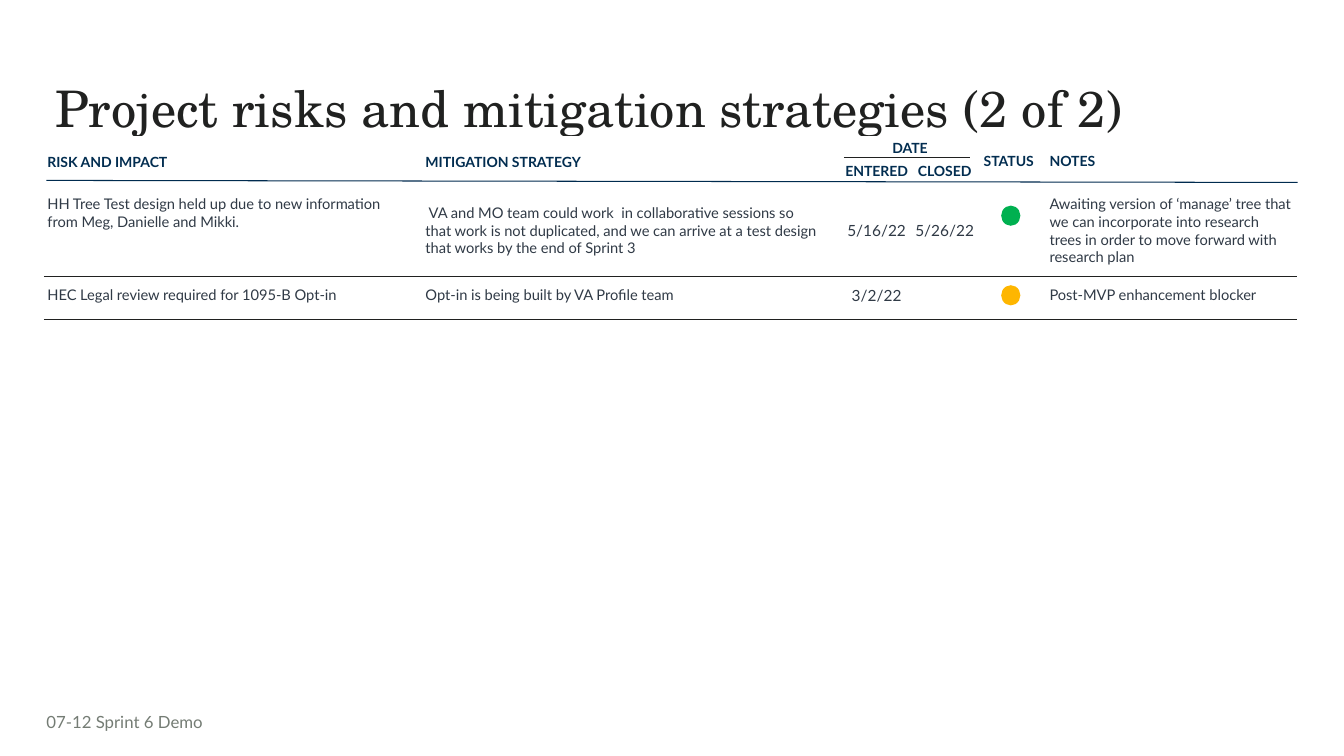
"""Build the project risks and mitigation strategies slide."""
from lxml.etree import SubElement
from pptx import Presentation
from pptx.dml.color import RGBColor
from pptx.enum.shapes import MSO_CONNECTOR, MSO_SHAPE
from pptx.enum.text import MSO_ANCHOR, PP_ALIGN
from pptx.oxml import parse_xml
from pptx.oxml.ns import nsdecls, qn
from pptx.util import Pt

PX = 9144
COLORS = {
    "ink": "202120", "header": "022D50", "body": "303A46", "rule": "002B4F",
    "footer": "747C74", "amber": "FEB600", "green": "00B050",
}


def write(paragraph, text, size, color, font="Lato", bold=False, spacing=1.0):
    paragraph.line_spacing = spacing
    run = paragraph.add_run()
    run.text = text
    for name, value in {"name": font, "size": Pt(size), "bold": bold}.items():
        setattr(run.font, name, value)
    run.font.color.rgb = RGBColor.from_string(COLORS[color])


def set_margins(target, left, top, right, bottom):
    margins = {"left": left, "top": top, "right": right, "bottom": bottom}
    for side, value in margins.items():
        setattr(target, f"margin_{side}", value * PX)


presentation = Presentation()
presentation.slide_width = 1333 * PX
presentation.slide_height = 750 * PX
slide = presentation.slides.add_slide(presentation.slide_layouts[6])

text_boxes = [
    ((45, 78, 1242, 82), (10, 5, 10, 5), "Project risks and mitigation strategies (2 of 2)",
     {"size": 36, "color": "ink", "font": "TeX Gyre Schola", "spacing": 0.9}),
    ((46, 701, 298, 30), (0, 5, 10, 5), "07-12 Sprint 6 Demo",
     {"size": 12, "color": "footer"}),
]
for box, margins, text, style in text_boxes:
    shape = slide.shapes.add_textbox(*[value * PX for value in box])
    shape.text_frame.word_wrap = True
    set_margins(shape.text_frame, *margins)
    write(shape.text_frame.paragraphs[0], text, **style)

column_widths = [375, 416, 69, 66, 61, 255]
row_heights = [22, 22, 43, 43]
rows = [
    ["RISK AND IMPACT", "MITIGATION STRATEGY", "DATE", "", "STATUS", "NOTES"],
    ["", "", "ENTERED", "CLOSED", "", ""],
    ["HH Tree Test design held up due to new information from Meg, Danielle and Mikki.",
     " VA and MO team could work  in collaborative sessions so that work is not duplicated, "
     "and we can arrive at a test design that works by the end of Sprint 3",
     "5/16/22", "5/26/22", "",
     "Awaiting version of ‘manage’ tree that we can incorporate into research trees "
     "in order to move forward with research plan"],
    ["HEC Legal review required for 1095-B Opt-in", "Opt-in is being built by VA Profile team",
     "3/2/22", "", "", "Post-MVP enhancement blocker"],
]
frame = slide.shapes.add_table(
    len(rows), len(column_widths), 44 * PX, 136 * PX,
    sum(column_widths) * PX, sum(row_heights) * PX)
table = frame.table
table.first_row = False
table.horz_banding = False
for column, width in zip(table.columns, column_widths):
    column.width = width * PX
for row, height in zip(table.rows, row_heights):
    row.height = height * PX

middle_cells = {(0, 0), (0, 1), (0, 4), (0, 5), (2, 1), (2, 2), (2, 3), (2, 5)}
for row_index, row in enumerate(rows):
    is_header = row_index < 2
    for column_index, text in enumerate(row):
        cell = table.cell(row_index, column_index)
        is_centered = column_index in (2, 3, 4)
        is_wide = column_index < 2
        edge = 3 if is_header else 10
        set_margins(cell, 10 if column_index == 5 else 3, edge,
                    20 if is_wide and not is_header else 3, edge)
        is_middle = (row_index, column_index) in middle_cells
        cell.vertical_anchor = MSO_ANCHOR.MIDDLE if is_middle else MSO_ANCHOR.TOP
        cell.fill.background()
        paragraph = cell.text_frame.paragraphs[0]
        paragraph.alignment = PP_ALIGN.CENTER if is_centered else PP_ALIGN.LEFT
        if not text:
            SubElement(paragraph._p, qn("a:endParaRPr"), sz="1000")
        elif is_header:
            write(paragraph, text, 10, "header", bold=True, spacing=1.15 if is_wide else 1.0)
        else:
            write(paragraph, text, 11 if is_centered else 10.5, "body")
        sides = {2: ["lnB"], 3: ["lnT", "lnB"]}.get(row_index, [])
        for position, side in enumerate(sides):
            border = parse_xml(
                f'<a:{side} {nsdecls("a")} w="9525"><a:solidFill>'
                f'<a:srgbClr val="{COLORS["ink"]}"/></a:solidFill></a:{side}>')
            cell._tc.get_or_add_tcPr().insert(position, border)

for column_index in (0, 1, 4, 5):
    table.cell(0, column_index).merge(table.cell(1, column_index))
table.cell(0, 2).merge(table.cell(0, 3))

rules = [((46, 179, 1287, 181), "rule", 0.75), ((837, 156, 962, 156), "ink", 1)]
for ends, color, width in rules:
    connector = slide.shapes.add_connector(
        MSO_CONNECTOR.STRAIGHT, *[value * PX for value in ends])
    connector.line.color.rgb = RGBColor.from_string(COLORS[color])
    connector.line.width = Pt(width)
    SubElement(connector._element.spPr, qn("a:effectLst"))

for top, color in [(283, "amber"), (204, "green")]:
    dot = slide.shapes.add_shape(MSO_SHAPE.OVAL, 993 * PX, top * PX, 19 * PX, 20 * PX)
    dot.shadow.inherit = False
    dot.fill.solid()
    dot.fill.fore_color.rgb = RGBColor.from_string(COLORS[color])
    dot.line.fill.background()

presentation.save("out.pptx")
